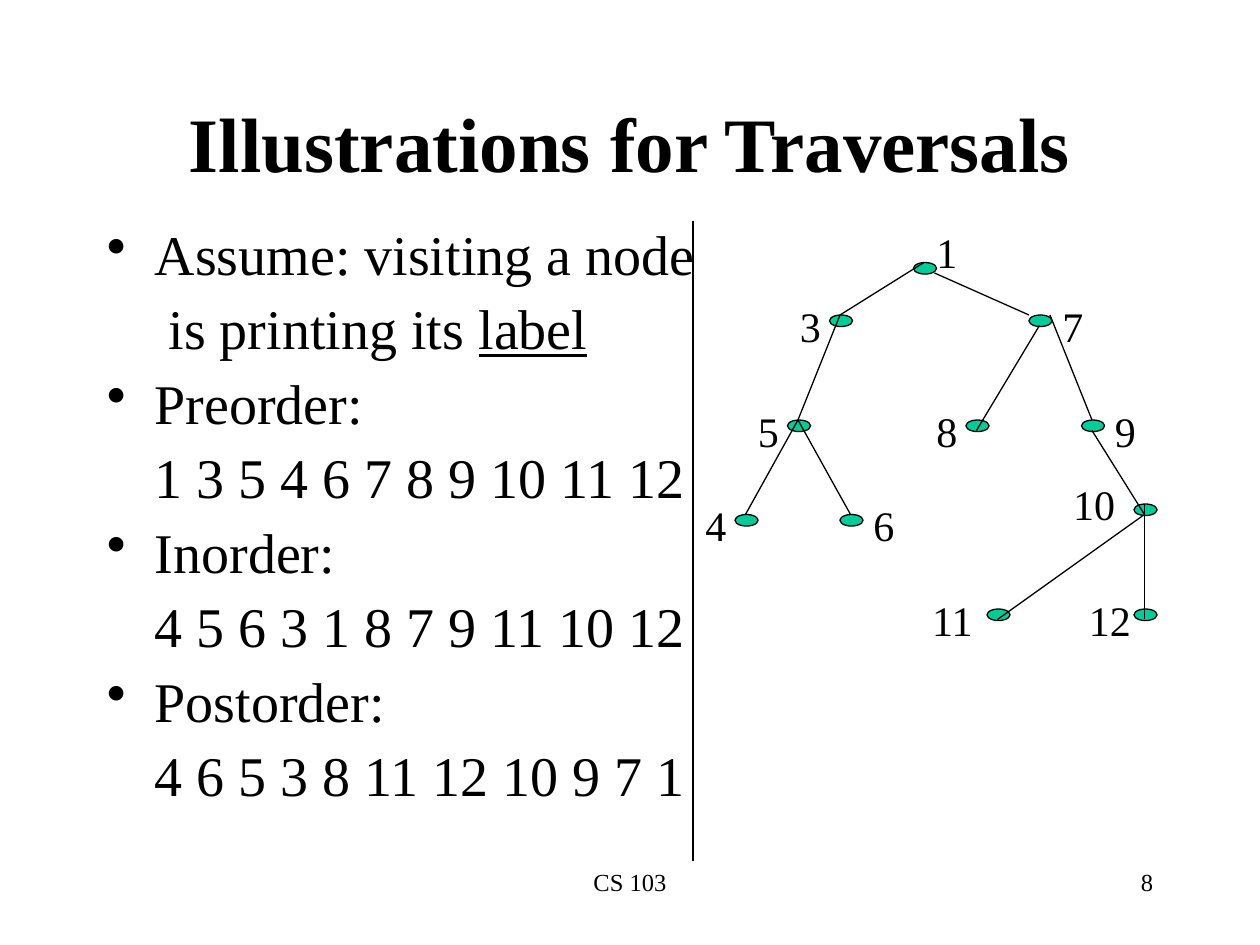
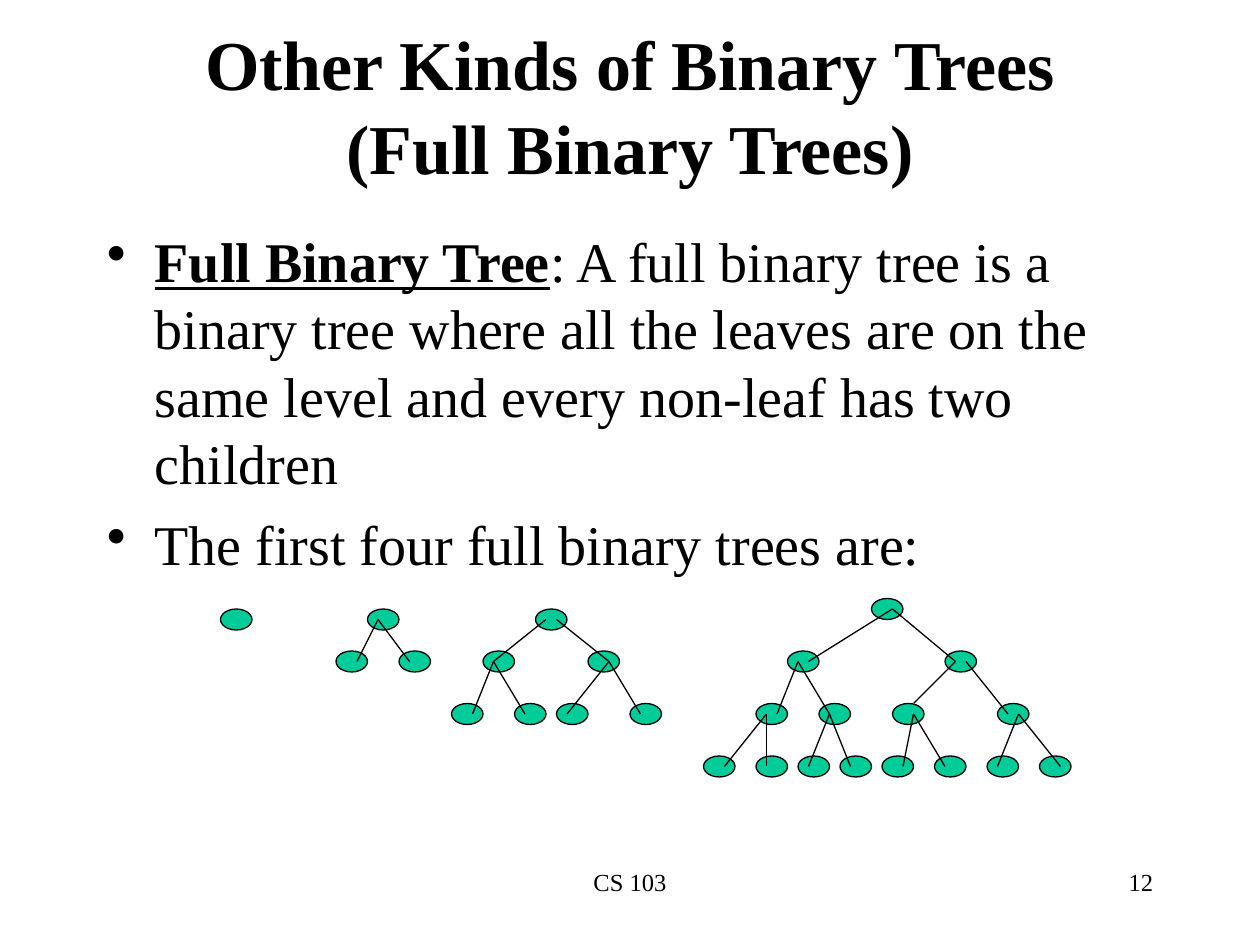
from dataclasses import dataclass
from itertools import chain
from typing import NamedTuple

from lxml import etree
from pptx import Presentation
from pptx.dml.color import RGBColor
from pptx.enum.shapes import MSO_CONNECTOR, MSO_SHAPE
from pptx.enum.text import MSO_ANCHOR, PP_ALIGN
from pptx.oxml.ns import qn
from pptx.slide import Slide
from pptx.util import Inches, Pt

BLACK = RGBColor(0x00, 0x00, 0x00)
NODE_GREEN = RGBColor(0x00, 0xCC, 0x99)
FONT = "Times New Roman"
LEFT, CENTER, RIGHT = PP_ALIGN.LEFT, PP_ALIGN.CENTER, PP_ALIGN.RIGHT
TOP, MIDDLE = MSO_ANCHOR.TOP, MSO_ANCHOR.MIDDLE
OVAL, STRAIGHT = MSO_SHAPE.OVAL, MSO_CONNECTOR.STRAIGHT

SLIDE_WIDTH, SLIDE_HEIGHT = Inches(10), Inches(7.5)
GRID_COLUMNS, GRID_ROWS = 120, 90
BLANK_LAYOUT = 6
HANGING_INDENT = Inches(0.38)
LINE_WIDTH = Pt(0.75)
BODY_SIZE, LABEL_SIZE, FOOTER_SIZE = 32, 24, 14


class Area(NamedTuple):
    column: float
    row: float
    columns: float
    rows: float


class Node(NamedTuple):
    column: float
    row: float


class Label(NamedTuple):
    text: str
    column: float
    row: float


class Edge(NamedTuple):
    start_column: float
    start_row: float
    end_column: float
    end_row: float


class Link(NamedTuple):
    start_column: float
    end_column: float
    rise: float = 0


class Span(NamedTuple):
    text: str
    bold: bool = False
    underline: bool = False


@dataclass(frozen=True)
class BodyLine:
    spans: tuple[Span, ...]
    bullet: bool = True
    first_indent: float = 0


@dataclass(frozen=True)
class FullTree:
    level_rows: tuple[int, ...]
    node_columns: tuple[int, ...]
    links: tuple[Link, ...] = ()

    def row(self, index: int) -> int:
        return self.level_rows[(index + 1).bit_length() - 1]

    def nodes(self) -> list[Node]:
        return [Node(column, self.row(index))
                for index, column in enumerate(self.node_columns)]

    def edges(self) -> list[Edge]:
        return [Edge(link.start_column, self.row((child - 1) // 2) + 1,
                     link.end_column, self.row(child) + 1 - link.rise)
                for child, link in enumerate(self.links, start=1)]


BODY = Area(9, 21, 102, 59)
FOOTER = Area(41, 82, 38, 6)
PAGE_NUMBER = Area(86, 82, 25, 6)
DIVIDER = Edge(66, 21, 66, 82)
LABEL_COLUMNS = {1: 4.3, 2: 7.4}
LABEL_ROWS = 6

TRAVERSALS = (
    ("Preorder:", "1 3 5 4 6 7 8 9 10 11 12"),
    ("Inorder:", "4 5 6 3 1 8 7 9 11 10 12"),
    ("Postorder:", "4 6 5 3 8 11 12 10 9 7 1"),
)
TRAVERSAL_LINES = [
    BodyLine((Span("Assume: visiting a node"),)),
    BodyLine((Span("is printing its "), Span("label", underline=True)), False, 0.11),
    *chain.from_iterable(
        (BodyLine((Span(name),)), BodyLine((Span(order),), False))
        for name, order in TRAVERSALS),
]
LABELLED_NODES = (
    (Node(87, 25), Label("1", 88, 21)),
    (Node(79, 30), Label("3", 75, 28)),
    (Node(98, 30), Label("7", 100, 28)),
    (Node(75, 40), Label("5", 71, 38)),
    (Node(92, 40), Label("8", 88, 38)),
    (Node(103, 40), Label("9", 105, 38)),
    (Node(70, 49), Label("4", 66, 47)),
    (Node(80, 49), Label("6", 82, 47)),
    (Node(108, 48), Label("10", 100.5, 45)),
    (Node(94, 58), Label("11", 87, 56)),
    (Node(108, 58), Label("12", 102, 56)),
)
TRAVERSAL_EDGES = (
    Edge(88, 25, 80, 30), Edge(89, 26, 98, 30),
    Edge(80, 30, 76, 40), Edge(99, 31, 93, 41), Edge(100, 30, 104, 40),
    Edge(76, 40, 71, 49), Edge(76, 40, 81, 49), Edge(104, 41, 109, 49),
    Edge(109, 49, 95, 59), Edge(109, 48, 109, 59),
)

FULL_TREE_LINES = [
    BodyLine((
        Span("Full Binary Tree", bold=True, underline=True),
        Span(": A full binary tree is a binary tree where all the leaves are "
             "on the same level and every non-leaf has two children"))),
    BodyLine((Span("The first four full binary trees are:"),)),
]
FULL_TREES = (
    FullTree((58,), (21,)),
    FullTree((58, 62), (35, 32, 38), (Link(36, 34), Link(36, 39))),
    FullTree(
        (58, 62, 67), (51, 46, 56, 43, 49, 53, 60),
        (Link(52, 47), Link(53, 58),
         Link(47, 45), Link(47, 50), Link(58, 54), Link(58, 61))),
    FullTree(
        (57, 62, 67, 72),
        (83, 75, 90, 72, 78, 85, 95, 67, 72, 76, 80, 84, 89, 94, 99),
        (Link(85, 77), Link(85, 91),
         Link(76, 74), Link(76, 79), Link(91, 87, rise=1), Link(92, 96),
         Link(73, 69), Link(73, 73), Link(79, 77), Link(79, 81),
         Link(87, 86), Link(87, 90), Link(97, 95), Link(97, 101))),
)


def across(columns: float) -> int:
    return round(SLIDE_WIDTH * columns / GRID_COLUMNS)


def down(rows: float) -> int:
    return round(SLIDE_HEIGHT * rows / GRID_ROWS)


def style_font(font, size: int, bold: bool | None = None) -> None:
    font.name = FONT
    font.size = Pt(size)
    font.color.rgb = BLACK
    font.bold = bold


def add_frame(slide: Slide, area: Area, anchor=TOP):
    box = slide.shapes.add_textbox(
        across(area.column), down(area.row), across(area.columns), down(area.rows))
    frame = box.text_frame
    frame.word_wrap = True
    frame.vertical_anchor = anchor
    return frame


def add_text(slide: Slide, text: str, area: Area, size: int,
             alignment=CENTER, anchor=TOP, bold: bool = False) -> None:
    paragraph = add_frame(slide, area, anchor).paragraphs[0]
    paragraph.text = text
    paragraph.alignment = alignment
    style_font(paragraph.font, size, bold)


def add_body(slide: Slide, lines: list[BodyLine], line_spacing: float) -> None:
    frame = add_frame(slide, BODY)
    for index, line in enumerate(lines):
        paragraph = frame.add_paragraph() if index else frame.paragraphs[0]
        properties = paragraph._p.get_or_add_pPr()
        indent = -HANGING_INDENT if line.bullet else Inches(line.first_indent)
        properties.set("marL", str(HANGING_INDENT))
        properties.set("indent", str(indent))
        if line.bullet:
            etree.SubElement(properties, qn("a:buChar")).set("char", "•")
        else:
            etree.SubElement(properties, qn("a:buNone"))
        paragraph.alignment = LEFT
        paragraph.line_spacing = line_spacing
        paragraph.space_before = Pt(8 if index else 0)
        style_font(paragraph.font, BODY_SIZE)
        for span in line.spans:
            run = paragraph.add_run()
            run.text = span.text
            if span.bold:
                run.font.bold = True
            if span.underline:
                run.font.underline = True


def add_node(slide: Slide, node: Node, columns: float, rows: float) -> None:
    shape = slide.shapes.add_shape(
        OVAL, across(node.column), down(node.row), across(columns), down(rows))
    shape.shadow.inherit = False
    shape.fill.solid()
    shape.fill.fore_color.rgb = NODE_GREEN
    shape.line.color.rgb = BLACK
    shape.line.width = LINE_WIDTH


def add_edge(slide: Slide, edge: Edge) -> None:
    connector = slide.shapes.add_connector(
        STRAIGHT, across(edge.start_column), down(edge.start_row),
        across(edge.end_column), down(edge.end_row))
    connector.line.color.rgb = BLACK
    connector.line.width = LINE_WIDTH
    etree.SubElement(connector._element.spPr, qn("a:effectLst"))


def add_slide(presentation, title: str, title_area: Area, title_size: int,
              page: int) -> Slide:
    slide = presentation.slides.add_slide(presentation.slide_layouts[BLANK_LAYOUT])
    add_text(slide, title, title_area, title_size, anchor=MIDDLE, bold=True)
    add_text(slide, "CS 103", FOOTER, FOOTER_SIZE)
    add_text(slide, str(page), PAGE_NUMBER, FOOTER_SIZE, RIGHT)
    return slide


def build_traversals(presentation) -> None:
    slide = add_slide(presentation, "Illustrations for Traversals",
                      Area(9, 8, 102, 11), 44, 8)
    add_body(slide, TRAVERSAL_LINES, 0.9)
    for node, label in LABELLED_NODES:
        add_node(slide, node, 2.2, 1.1)
        area = Area(label.column, label.row,
                    LABEL_COLUMNS[len(label.text)], LABEL_ROWS)
        add_text(slide, label.text, area, LABEL_SIZE)
    for edge in (*TRAVERSAL_EDGES, DIVIDER):
        add_edge(slide, edge)


def build_full_trees(presentation) -> None:
    slide = add_slide(presentation, "Other Kinds of Binary Trees\v(Full Binary Trees)",
                      Area(9, 4, 102, 12), 40, 12)
    add_body(slide, FULL_TREE_LINES, 1.0)
    for tree in FULL_TREES:
        for node in tree.nodes():
            add_node(slide, node, 3, 2)
        for edge in tree.edges():
            add_edge(slide, edge)


def main() -> None:
    presentation = Presentation()
    presentation.slide_width = SLIDE_WIDTH
    presentation.slide_height = SLIDE_HEIGHT
    build_traversals(presentation)
    build_full_trees(presentation)
    presentation.save("out.pptx")


if __name__ == "__main__":
    main()
